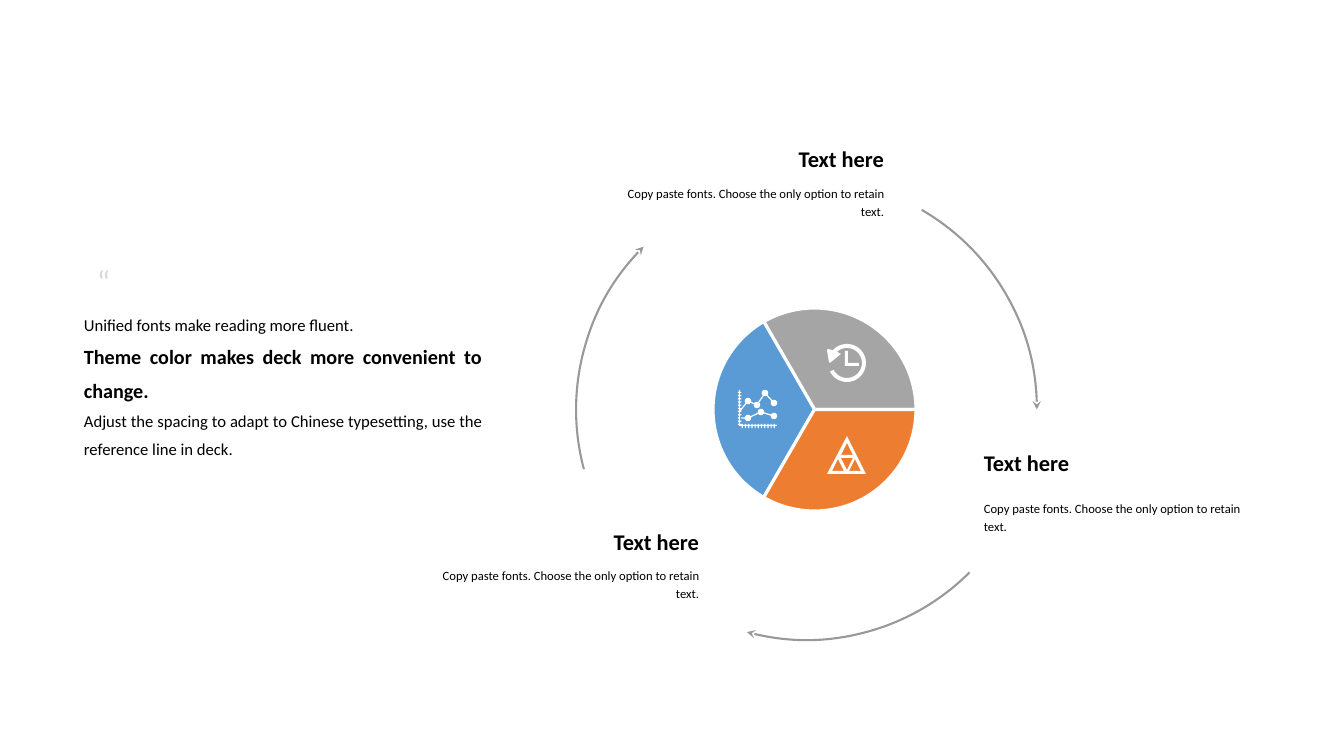
from dataclasses import dataclass
from math import cos, hypot, radians, sin

from lxml.etree import SubElement
from pptx import Presentation
from pptx.dml.color import RGBColor
from pptx.enum.shapes import MSO_SHAPE as Preset
from pptx.enum.text import MSO_ANCHOR as Anchor, PP_ALIGN as Align
from pptx.oxml.ns import qn
from pptx.shapes.autoshape import Shape
from pptx.slide import Slide
from pptx.util import Pt

PX = 914400 / 100.8
FONT = "Calibri"
COLORS = {
    "text": "000000",
    "mark": "D9D9D9",
    "arrow": "999999",
    "white": "FFFFFF",
    "gray": "A5A5A5",
    "blue": "5B9BD5",
    "orange": "ED7D31",
}

Point = tuple[float, float]
Contour = list[Point]


@dataclass(frozen=True)
class Box:
    left: int
    top: int
    width: int
    height: int


@dataclass(frozen=True)
class Line:
    text: str
    size: float
    bold: bool = False
    color: str = "text"


@dataclass(frozen=True)
class Callout:
    left: int
    head_top: int
    note_top: int
    align: Align


@dataclass(frozen=True)
class Sector:
    rotation: int
    color: str


CALLOUTS = [
    Callout(974, 446, 493, Align.LEFT),
    Callout(425, 525, 560, Align.RIGHT),
    Callout(610, 142, 178, Align.RIGHT),
]
HEAD = Line("Text here", 16, True)
NOTE = Line("Copy paste fonts. Choose the only option to retain text.", 9)
QUOTE = [
    Line("Unified fonts make reading more fluent.", 11.9),
    Line("Theme color makes deck more convenient to change.", 14.4, True),
    Line("Adjust the spacing to adapt to Chinese typesetting, "
         "use the reference line in deck.", 11.9),
]
ORBIT = Box(576, 179, 461, 461)
ORBIT_ROTATIONS = [0, 105, 225]
PIE = Box(713, 308, 203, 203)
SECTORS = [Sector(180, "gray"), Sector(60, "blue"), Sector(300, "orange")]


def px(length: float) -> int:
    return round(length * PX)


def place(box: Box) -> tuple[int, int, int, int]:
    return px(box.left), px(box.top), px(box.width), px(box.height)


def rgb(name: str) -> RGBColor:
    return RGBColor.from_string(COLORS[name])


def add_text(slide: Slide, box: Box, lines: list[Line], align: Align = Align.LEFT,
             spacing: float = 1.0, anchor: Anchor = Anchor.TOP, wrap: bool = True) -> None:
    frame = slide.shapes.add_textbox(*place(box)).text_frame
    frame.word_wrap = wrap
    frame.vertical_anchor = anchor
    frame.text = "\n".join(line.text for line in lines)
    for paragraph, line in zip(frame.paragraphs, lines):
        paragraph.alignment = align
        paragraph.line_spacing = spacing
        font = paragraph.runs[0].font
        font.name, font.size, font.bold = FONT, Pt(line.size), line.bold
        font.color.rgb = rgb(line.color)


def add_sweep(slide: Slide, preset: Preset, box: Box, start: int, end: int,
              rotation: int, outline: str, weight: float) -> Shape:
    """Adds an arc or pie that runs from start to end, in degrees."""
    sweep = slide.shapes.add_shape(preset, *place(box))
    sweep.shadow.inherit = False
    sweep.rotation = rotation
    # Adjustments count 60000ths of a degree, divided by 100000
    sweep.adjustments[0], sweep.adjustments[1] = start * 0.6, end * 0.6
    sweep.line.color.rgb = rgb(outline)
    sweep.line.width = Pt(weight)
    return sweep


def add_icon(slide: Slide, contours: list[Contour]) -> None:
    scaled = [[(px(x), px(y)) for x, y in contour] for contour in contours]
    builder = slide.shapes.build_freeform(*scaled[0][0])
    builder.add_line_segments(scaled[0][1:], close=True)
    for contour in scaled[1:]:
        builder.move_to(*contour[0])
        builder.add_line_segments(contour[1:], close=True)
    icon = builder.convert_to_shape()
    icon.shadow.inherit = False
    icon.fill.solid()
    icon.fill.fore_color.rgb = rgb("white")
    icon.line.fill.background()


def arc_points(center: Point, radius: float, start: int, end: int, steps: int) -> Contour:
    angles = [radians(start + (end - start) * i / steps) for i in range(steps + 1)]
    return [(center[0] + radius * cos(a), center[1] + radius * sin(a)) for a in angles]


def bar(left: float, top: float, right: float, bottom: float) -> Contour:
    return [(left, top), (right, top), (right, bottom), (left, bottom)]


def link(a: Point, b: Point, a_gap: float, b_gap: float) -> Contour:
    """Thin bar between two points, stopping short of each by its gap."""
    length = hypot(b[0] - a[0], b[1] - a[1])
    ux, uy = (b[0] - a[0]) / length, (b[1] - a[1]) / length
    half = 0.6
    return [(a[0] + ux * along - uy * side, a[1] + uy * along + ux * side)
            for along, side in [(a_gap, half), (length - b_gap, half),
                                (length - b_gap, -half), (a_gap, -half)]]


def history_icon() -> list[Contour]:
    center = (847, 363)
    ring = arc_points(center, 19, 222, 513, 60) + arc_points(center, 15, 513, 228, 60)
    arrowhead = [(841, 354), (830, 363), (829, 362), (827, 350), (828, 349)]
    hands = [(845, 351), (848, 351), (848, 363), (859, 363), (859, 366), (845, 366)]
    return [ring + arrowhead, hands]


def chart_icon() -> list[Contour]:
    contours = [bar(739, 390, 740, 426), bar(740, 425, 777, 426)]
    for i in range(11):
        x, y = 742.4 + 3.2 * i, 392.4 + 3.2 * i
        contours += [bar(738, y - 0.6, 739, y + 0.6), bar(740, y - 0.6, 741.5, y + 0.6),
                     bar(x - 0.6, 424, x + 0.6, 425), bar(x - 0.6, 426, x + 0.6, 428)]
    radius = 3.2
    series = [
        [(740, 411), (748, 401), (757, 405), (765, 393), (774, 403)],
        [(740, 418), (748, 418), (761, 412), (774, 416)],
    ]
    for points in series:
        contours += [arc_points(dot, radius, 0, 360, 24) for dot in points[1:]]
        for i, (a, b) in enumerate(zip(points, points[1:])):
            contours.append(link(a, b, radius if i else 0, radius))
    return contours


def triangle_icon() -> list[Contour]:
    return [
        [(847, 436), (827, 474), (866, 474)],
        [(847, 443), (853, 455), (841, 455)],
        [(832, 471), (838, 459), (844, 471)],
        [(841, 458), (853, 458), (847, 470)],
        [(855, 459), (861, 471), (849, 471)],
    ]


def main() -> None:
    deck = Presentation()
    deck.slide_width, deck.slide_height = px(1344), px(756)
    slide = deck.slides.add_slide(deck.slide_layouts[6])

    # Callouts around the cycle
    for callout in CALLOUTS:
        add_text(slide, Box(callout.left, callout.note_top, 284, 80), [NOTE],
                 callout.align, spacing=1.2)
        add_text(slide, Box(callout.left, callout.head_top, 284, 35), [HEAD],
                 callout.align, anchor=Anchor.BOTTOM, wrap=False)

    # Cycle arrows
    for rotation in ORBIT_ROTATIONS:
        arrow = add_sweep(slide, Preset.ARC, ORBIT, 300, 0, rotation, "arrow", 1.5)
        arrow.fill.background()
        outline = arrow._element.spPr.find(qn("a:ln"))
        SubElement(outline, qn("a:tailEnd"), type="stealth")

    # Pie sectors and their icons
    for sector in SECTORS:
        wedge = add_sweep(slide, Preset.PIE, PIE, 60, 180, sector.rotation, "white", 2.25)
        wedge.fill.solid()
        wedge.fill.fore_color.rgb = rgb(sector.color)
    for contours in (history_icon(), chart_icon(), triangle_icon()):
        add_icon(slide, contours)

    # Quote
    add_text(slide, Box(74, 302, 418, 162), QUOTE, Align.JUSTIFY, spacing=1.4)
    add_text(slide, Box(87, 259, 45, 43), [Line("“", 22.8, color="mark")],
             anchor=Anchor.MIDDLE)

    deck.save("out.pptx")


if __name__ == "__main__":
    main()
